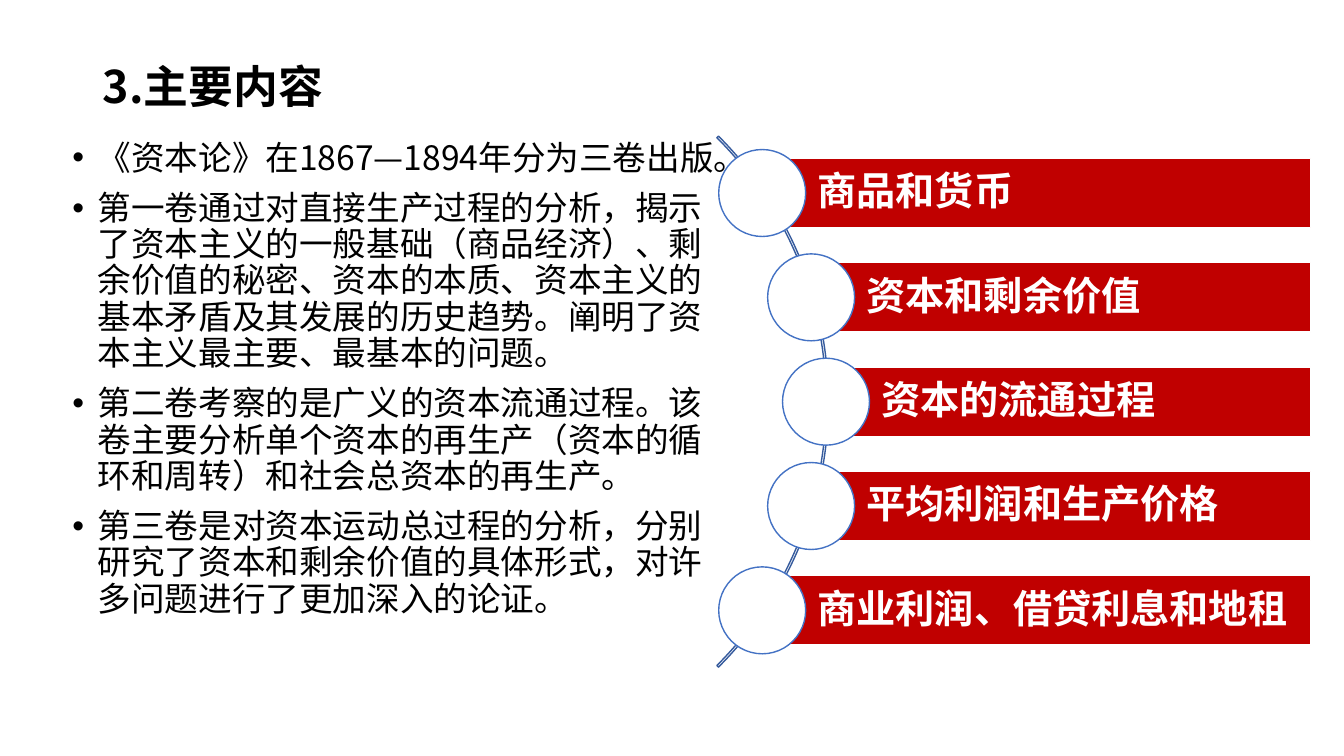
from math import sqrt

from pptx import Presentation
from pptx import util as u
from pptx.dml.color import RGBColor
from pptx.enum import shapes, text
from pptx.oxml.ns import qn

WIDE, HIGH = u.Inches(13.333), u.Inches(7.5)
FONT = "Noto Sans CJK SC"
RED, BLUE, NAVY, WHITE, BLACK = "C00000", "4472C4", "365B9D", "FFFFFF", "000000"

POINTS = [
    "《资本论》在1867—1894年分为三卷出版。",
    "第一卷通过对直接生产过程的分析，揭示了资本主义的一般基础（商品经济）、剩余价值的秘密、"
    "资本的本质、资本主义的基本矛盾及其发展的历史趋势。阐明了资本主义最主要、最基本的问题。",
    "第二卷考察的是广义的资本流通过程。该卷主要分析单个资本的再生产（资本的循环和周转）"
    "和社会总资本的再生产。",
    "第三卷是对资本运动总过程的分析，分别研究了资本和剩余价值的具体形式，"
    "对许多问题进行了更加深入的论证。",
]
TOPICS = ["商品和货币", "资本和剩余价值", "资本的流通过程", "平均利润和生产价格",
          "商业利润、借贷利息和地租"]


def across(share):
    """Percent of the slide's width."""
    return round(WIDE * share / 100)


def down(share):
    """Percent of the slide's height."""
    return round(HIGH * share / 100)


def color(code):
    return RGBColor.from_string(code)


def write(shape, lines, size, ink=BLACK, bold=False, anchor="TOP", left=0.1,
          inset=0.1, before=0, bullet=False):
    frame = shape.text_frame
    frame.word_wrap = True
    frame.vertical_anchor = text.MSO_ANCHOR[anchor]
    frame.margin_left, frame.margin_right = u.Inches(left), u.Inches(inset)
    for i, line in enumerate(lines):
        para = frame.paragraphs[0] if i == 0 else frame.add_paragraph()
        para.alignment = text.PP_ALIGN.LEFT
        para.line_spacing = 0.9
        para.space_before = u.Pt(before)
        run = para.add_run()
        run.text = line
        font = run.font
        font.size, font.bold, font.name = u.Pt(size), bold, FONT
        font.color.rgb = color(ink)
        east = run._r.get_or_add_rPr().makeelement(qn("a:ea"), {"typeface": FONT})
        font._element.find(qn("a:latin")).addnext(east)
        if bullet:
            props = para._p.get_or_add_pPr()
            props.set("marL", str(u.Inches(0.25)))
            props.set("indent", str(-u.Inches(0.25)))
            for tag, key, value in (("a:buFont", "typeface", "Arial"),
                                    ("a:buChar", "char", "•")):
                props.append(props.makeelement(qn(tag), {key: value}))


def label(slide, box, lines, size, **style):
    write(slide.shapes.add_textbox(*box), lines, size, **style)


def draw(slide, kind, box, line, fill=None):
    shape = slide.shapes.add_shape(shapes.MSO_SHAPE[kind], *box)
    shape.shadow.inherit = False
    if fill:
        shape.fill.solid()
        shape.fill.fore_color.rgb = color(fill)
    else:
        shape.fill.background()
    shape.line.color.rgb = color(line)
    shape.line.width = u.Pt(1)
    return shape


def disc(mid, level, size):
    """Square box around a centre."""
    return mid - size // 2, level - size // 2, size, size


def topics(slide):
    """Bars whose round knobs sit on one arc."""
    hub, centre = across(33.71), down(53.13)
    reach, pitch = down(49.33), down(13.8)
    bar, knob, edge = down(9.2), down(11.5), across(97.5)

    arc = draw(slide, "BLOCK_ARC", disc(hub, centre, down(99.33)), NAVY)
    for i, value in enumerate((189, 27, 0.003)):
        arc.adjustments[i] = value

    for i, topic in enumerate(TOPICS):
        drop = (i - len(TOPICS) // 2) * pitch
        left = hub + round(sqrt(reach ** 2 - drop ** 2))
        level = centre + drop
        box = left, level - bar // 2, edge - left, bar
        write(draw(slide, "RECTANGLE", box, WHITE, RED), [topic], 28, ink=WHITE,
              bold=True, anchor="MIDDLE", left=0.55, inset=0.08)
        draw(slide, "OVAL", disc(left, level, knob), BLUE, WHITE)


def main():
    deck = Presentation()
    deck.slide_width, deck.slide_height = WIDE, HIGH
    slide = deck.slides.add_slide(deck.slide_layouts[6])
    label(slide, (across(6.9), down(7.2), across(86.25), down(9.07)),
          ["3.主要内容"], 32, bold=True, anchor="MIDDLE")
    topics(slide)
    label(slide, (across(4.65), down(18), across(49.28), down(67.47)),
          POINTS, 24, before=10, bullet=True)
    deck.save("out.pptx")


if __name__ == "__main__":
    main()
